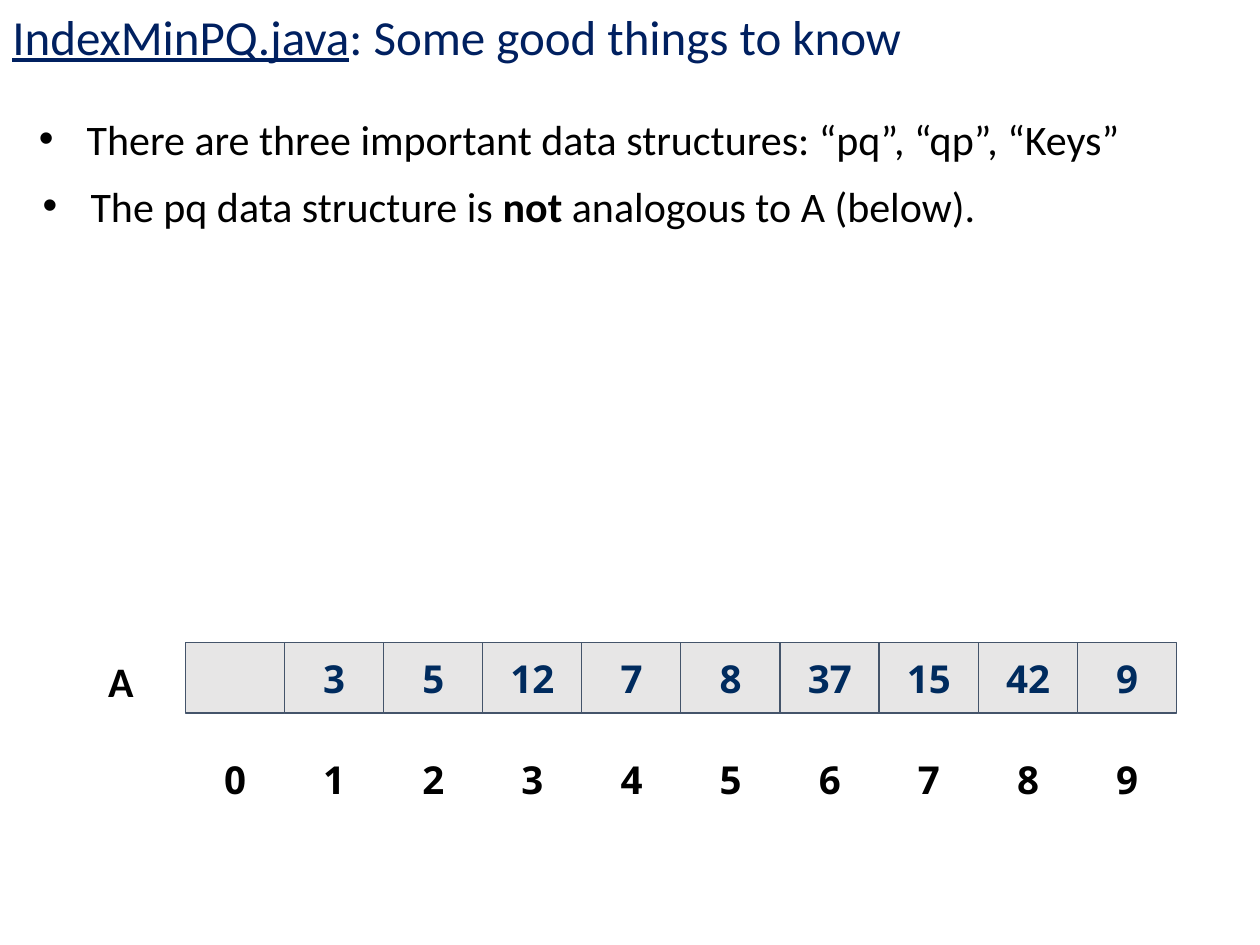
from pptx import Presentation
from pptx.dml.color import RGBColor
from pptx.enum.shapes import MSO_SHAPE
from pptx.enum.text import MSO_ANCHOR, MSO_AUTO_SIZE, PP_ALIGN
from pptx.oxml.ns import qn
from pptx.util import Inches, Pt
from lxml import etree

VALUES = ["", "3", "5", "12", "7", "8", "37", "15", "42", "9"]
ARRAY_LEFT, CELL_PITCH = 1.47, 7.08 / 9
CELL_W, CELL_H = 0.79, 0.56
VALUE_TOP, INDEX_TOP = 5.1, 5.9

TITLE = {"name": "Calibri", "size": Pt(28)}
BODY = {"name": "Calibri", "size": Pt(24)}
CELL = {"name": "Open Sans", "size": Pt(22), "bold": True}
CELL_FRAME = {
    "word_wrap": True,
    "vertical_anchor": MSO_ANCHOR.MIDDLE,
    "margin_left": Inches(0.1),
    "margin_top": Inches(0.1),
    "margin_right": Inches(0.1),
    "margin_bottom": Inches(0.1),
}
TEXT_FRAME = {"word_wrap": True, "auto_size": MSO_AUTO_SIZE.SHAPE_TO_FIT_TEXT}


def rgb(value):
    return RGBColor.from_string(value)


def apply(target, values):
    for name, value in values.items():
        setattr(target, name, value)


def add_run(p, text, color, font):
    r = p.add_run()
    r.text = text
    apply(r.font, font)
    r.font.color.rgb = rgb(color)


def add_bullet(p):
    pPr = p._p.get_or_add_pPr()
    pPr.set("marL", str(Inches(0.38)))
    pPr.set("indent", str(-Inches(0.38)))
    etree.SubElement(pPr, qn("a:buFont"), typeface="Arial")
    etree.SubElement(pPr, qn("a:buChar"), char="•")


def add_text(shapes, box, runs, color="000000", bullet=False):
    sp = shapes.add_textbox(*map(Inches, box))
    apply(sp.text_frame, TEXT_FRAME)
    p = sp.text_frame.paragraphs[0]
    if bullet:
        add_bullet(p)
    for text, font in runs:
        add_run(p, text, color, font)


def fill_cell(sp, text, color):
    apply(sp.text_frame, CELL_FRAME)
    p = sp.text_frame.paragraphs[0]
    p.alignment = PP_ALIGN.CENTER
    if text:
        add_run(p, text, color, CELL)


def cell_box(i, top):
    return map(Inches, (ARRAY_LEFT + i * CELL_PITCH, top, CELL_W, CELL_H))


def add_value(shapes, i, text):
    sp = shapes.add_shape(MSO_SHAPE.RECTANGLE, *cell_box(i, VALUE_TOP))
    sp.shadow.inherit = False
    sp.fill.solid()
    sp.fill.fore_color.rgb = rgb("E7E6E6")
    sp.line.color.rgb = rgb("44546A")
    sp.line.width = Pt(0.75)
    fill_cell(sp, text, "002B5E")


def add_index(shapes, i):
    fill_cell(shapes.add_textbox(*cell_box(i, INDEX_TOP)), str(i), "000000")


def add_array(s):
    shapes = s.shapes.add_group_shape().shapes
    add_text(shapes, (0.76, 5.15, 0.63, 0.5), [("A", BODY | {"bold": True})])
    for i, text in enumerate(VALUES):
        add_value(shapes, i, text)
    for i in range(len(VALUES)):
        add_index(shapes, i)


def main():
    prs = Presentation()
    prs.slide_width, prs.slide_height = Inches(10), Inches(7.5)
    s = prs.slides.add_slide(prs.slide_layouts[6])
    add_text(s.shapes, (0, 0, 9.79, 0.57), [
        ("IndexMinPQ.java", TITLE | {"underline": True}),
        (": Some good things to know", TITLE),
    ], color="002060")
    add_text(s.shapes, (0.21, 0.85, 9.58, 0.5), [
        ("There are three important data structures: “pq”, “qp”, “Keys”", BODY),
    ], bullet=True)
    add_array(s)
    add_text(s.shapes, (0.24, 1.38, 9.58, 0.5), [
        ("The pq data structure is ", BODY),
        ("not", BODY | {"bold": True}),
        (" analogous to A (below).", BODY),
    ], bullet=True)
    prs.save("out.pptx")


if __name__ == "__main__":
    main()
